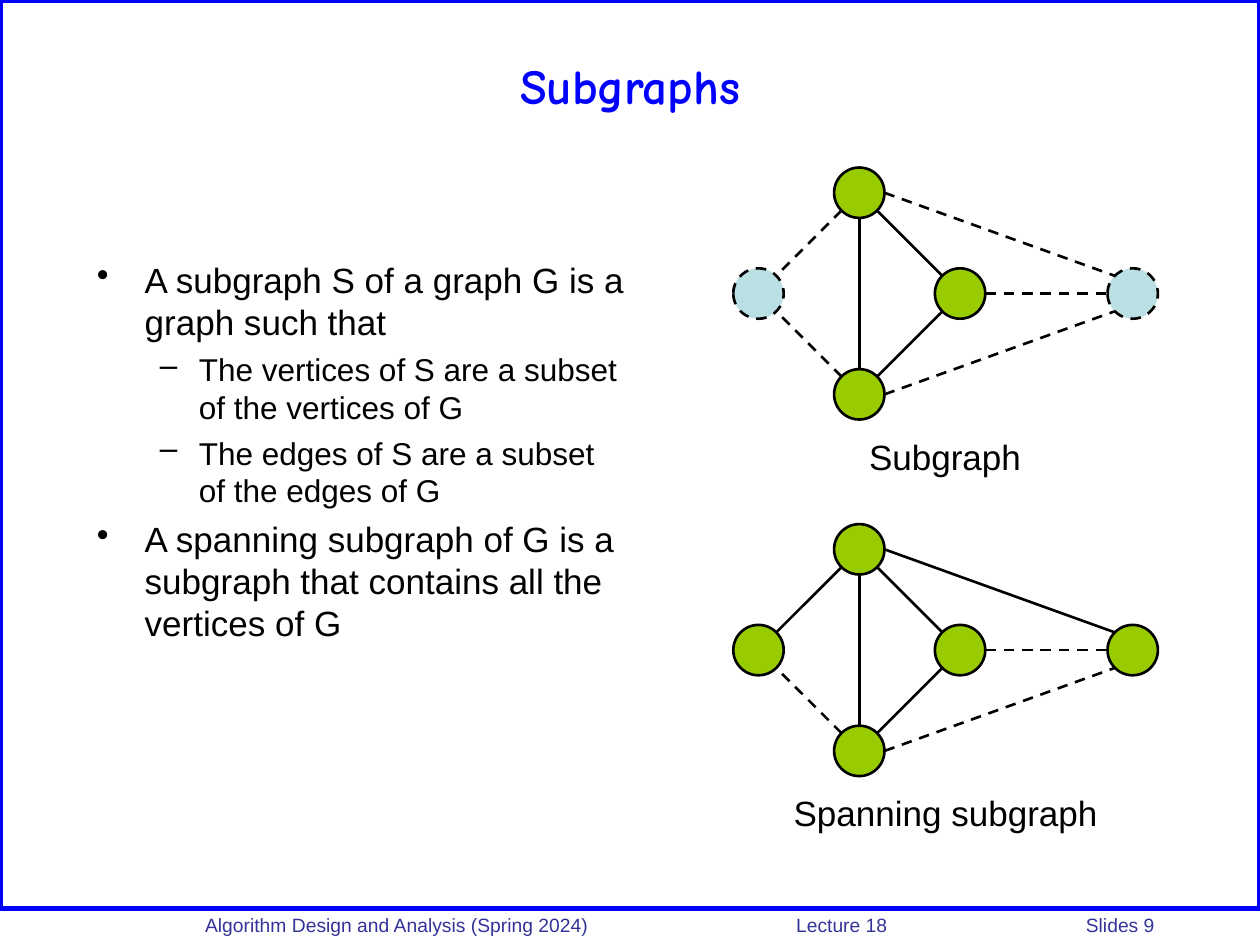
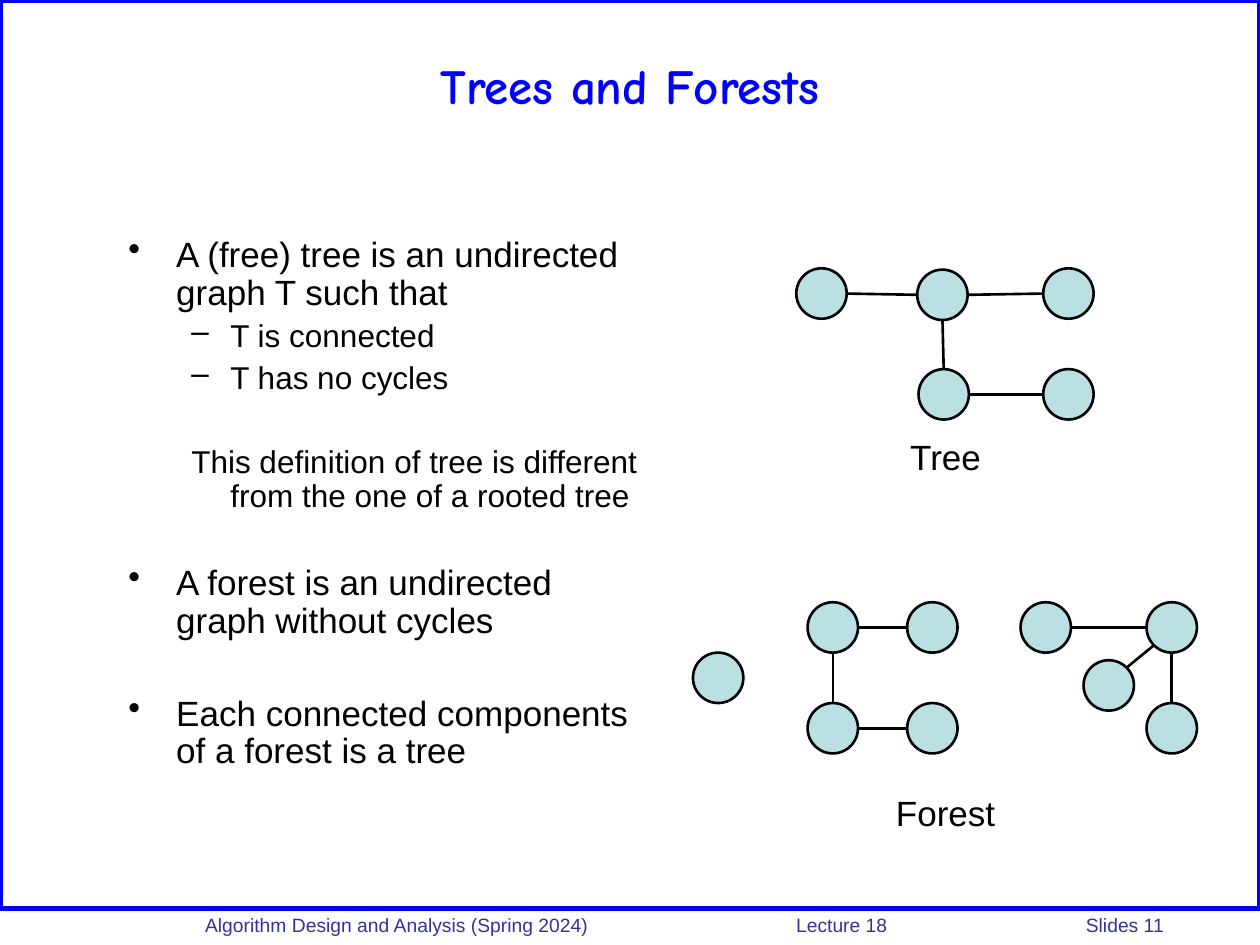
from dataclasses import dataclass

from lxml import etree
from pptx import Presentation
from pptx import util as u
from pptx.dml.color import RGBColor
from pptx.enum import dml, shapes, text
from pptx.oxml import ns

DIAGONAL = 0.14
RADIUS = 0.2
SITES = {
    "N": (0, -RADIUS), "S": (0, RADIUS), "W": (-RADIUS, 0), "E": (RADIUS, 0),
    "NW": (-DIAGONAL, -DIAGONAL), "NE": (DIAGONAL, -DIAGONAL),
    "SW": (-DIAGONAL, DIAGONAL), "SE": (DIAGONAL, DIAGONAL),
}


@dataclass(frozen=True)
class Theme:
    blue: str = "0000FF"
    footer: str = "333399"
    ink: str = "000000"
    green: str = "99CC00"
    pale: str = "BBE0E3"
    title_font: str = "Comic Neue"
    body_font: str = "Arial"
    title_size: float = 28
    body_size: float = 20
    detail_size: float = 18
    footer_size: float = 11
    line_height: float = 1.2


@dataclass(frozen=True)
class Level:
    size: float
    mark: str
    indent: float
    hang: float

    @property
    def space(self):
        return self.size / 4


class Deck:
    def __init__(self, theme):
        self.theme = theme
        self.main = Level(theme.body_size, "•", 0.38, 0.38)
        self.detail = Level(theme.detail_size, "–", 0.81, 0.31)
        self.remark = Level(theme.detail_size, "", 0.81, 0.31)
        self.presentation = Presentation()
        self.presentation.slide_width = u.Inches(10)
        self.presentation.slide_height = u.Inches(7.5)
        self.slide = None

    def start_slide(self, title, number):
        layout = self.presentation.slide_layouts[5]
        self.slide = self.presentation.slides.add_slide(layout)
        self.frame()
        self.title(title)
        self.footer(number)

    def frame(self):
        shape = self.slide.shapes.add_shape(
            shapes.MSO_SHAPE.RECTANGLE, 0, 0, u.Inches(10), u.Inches(7.21))
        shape.shadow.inherit = False
        shape.fill.background()
        self.stroke(shape.line, self.theme.blue, 3)

    def title(self, words):
        shape = self.slide.shapes.title
        shape.left, shape.top = u.Inches(0.5), u.Inches(0.17)
        shape.width, shape.height = u.Inches(9), u.Inches(1)
        shape.text_frame.vertical_anchor = text.MSO_ANCHOR.MIDDLE
        paragraph = shape.text_frame.paragraphs[0]
        paragraph.alignment = text.PP_ALIGN.CENTER
        run = self.run(paragraph, words, self.theme.title_size, self.theme.blue,
                       self.theme.title_font)
        run.font.bold = True

    def footer(self, number):
        frame = self.text_box(1.53, 7.2, 8.47, 0.26)
        paragraph = frame.paragraphs[0]
        tabs = etree.SubElement(paragraph._p.get_or_add_pPr(), ns.qn("a:tabLst"))
        for position in (4.69, 6.99):
            etree.SubElement(tabs, ns.qn("a:tab"), pos=str(u.Inches(position)), algn="l")
        words = f"Algorithm Design and Analysis (Spring 2024)\tLecture 18\tSlides {number}"
        self.run(paragraph, words, self.theme.footer_size, self.theme.footer)

    def text_box(self, left, top, width, height):
        box = self.slide.shapes.add_textbox(
            u.Inches(left), u.Inches(top), u.Inches(width), u.Inches(height))
        box.text_frame.word_wrap = True
        return box.text_frame

    def run(self, paragraph, words, size, color, font=None):
        run = paragraph.add_run()
        run.text = words
        run.font.name = font or self.theme.body_font
        run.font.size = u.Pt(size)
        run.font.color.rgb = RGBColor.from_string(color)
        return run

    def caption(self, left, top, width, words):
        paragraph = self.text_box(left, top, width, 0.44).paragraphs[0]
        paragraph.alignment = text.PP_ALIGN.CENTER
        self.run(paragraph, words, self.theme.body_size, self.theme.ink)

    def outline(self, left, top, width, height, items, spacing=1.0):
        frame = self.text_box(left, top, width, height)
        for index, (level, words, skipped) in enumerate(items):
            paragraph = frame.paragraphs[0] if index == 0 else frame.add_paragraph()
            self.bullet(paragraph, level)
            paragraph.line_spacing = u.Pt(self.leading(level, spacing))
            if index:
                space = level.space
                if skipped:
                    space += self.leading(skipped, spacing) + skipped.space
                paragraph.space_before = u.Pt(space)
            self.run(paragraph, words, level.size, self.theme.ink)

    def leading(self, level, spacing):
        return level.size * self.theme.line_height * spacing

    def bullet(self, paragraph, level):
        properties = paragraph._p.get_or_add_pPr()
        properties.set("marL", str(u.Inches(level.indent)))
        properties.set("indent", str(-u.Inches(level.hang)))
        if level.mark:
            color = etree.SubElement(properties, ns.qn("a:buClr"))
            etree.SubElement(color, ns.qn("a:srgbClr"), val=self.theme.ink)
            etree.SubElement(properties, ns.qn("a:buChar"), char=level.mark)
        else:
            etree.SubElement(properties, ns.qn("a:buNone"))

    def stroke(self, line, color, width, dashed=False):
        line.color.rgb = RGBColor.from_string(color)
        line.width = u.Pt(width)
        if dashed:
            line.dash_style = dml.MSO_LINE.DASH

    def node(self, center, fill, dashed=False):
        x, y = center
        shape = self.slide.shapes.add_shape(
            shapes.MSO_SHAPE.OVAL, u.Inches(x - RADIUS), u.Inches(y - RADIUS),
            u.Inches(2 * RADIUS), u.Inches(2 * RADIUS))
        shape.shadow.inherit = False
        shape.fill.solid()
        shape.fill.fore_color.rgb = RGBColor.from_string(fill)
        self.stroke(shape.line, self.theme.ink, 1.5, dashed)

    def edge(self, start, start_site, end, end_site, dashed=False):
        ends = [u.Inches(middle + shift)
                for center, site in ((start, start_site), (end, end_site))
                for middle, shift in zip(center, SITES[site])]
        connector = self.slide.shapes.add_connector(shapes.MSO_CONNECTOR.STRAIGHT, *ends)
        self.stroke(connector.line, self.theme.ink, 1.5, dashed)
        etree.SubElement(connector._element.spPr, ns.qn("a:effectLst"))

    def graph(self, nodes, edges, fill, dashed_nodes=(), dashed_edges=(), drop=0):
        centers = {name: (x, y + drop) for name, (x, y) in nodes.items()}
        for start, start_site, end, end_site in edges:
            self.edge(centers[start], start_site, centers[end], end_site,
                      (start, end) in dashed_edges)
        for name, center in centers.items():
            dashed = name in dashed_nodes
            self.node(center, self.theme.pale if dashed else fill, dashed)


GRAPH_NODES = {
    "left": (6.02, 2.33), "top": (6.82, 1.53), "bottom": (6.82, 3.13),
    "inner": (7.62, 2.33), "right": (8.99, 2.33),
}
GRAPH_EDGES = [
    ("top", "SW", "left", "NE"), ("bottom", "NW", "left", "SE"),
    ("bottom", "NE", "inner", "SW"), ("top", "SE", "inner", "NW"),
    ("top", "S", "bottom", "N"), ("inner", "E", "right", "W"),
    ("bottom", "E", "right", "SW"), ("top", "E", "right", "NW"),
]
OUTSIDE_SPANNING = {("bottom", "left"), ("inner", "right"), ("bottom", "right")}
OUTSIDE_SUBGRAPH = OUTSIDE_SPANNING | {("top", "left"), ("top", "right")}

TREE_NODES = {
    "first": (6.52, 2.33), "hub": (7.48, 2.34), "last": (8.48, 2.33),
    "below": (7.49, 3.13), "leaf": (8.48, 3.13),
}
TREE_EDGES = [
    ("first", "E", "hub", "W"), ("hub", "E", "last", "W"),
    ("hub", "S", "below", "N"), ("below", "E", "leaf", "W"),
]
FOREST_NODES = {
    "lone": (5.7, 5.38),
    "path 1": (7.4, 4.98), "path 2": (6.61, 4.98),
    "path 3": (6.61, 5.78), "path 4": (7.4, 5.78),
    "star hub": (9.3, 4.98), "star west": (8.3, 4.98),
    "star middle": (8.8, 5.44), "star south": (9.3, 5.78),
}
FOREST_EDGES = [
    ("path 2", "E", "path 1", "W"), ("path 2", "S", "path 3", "N"),
    ("path 3", "E", "path 4", "W"), ("star west", "E", "star hub", "W"),
    ("star middle", "NE", "star hub", "SW"), ("star hub", "S", "star south", "N"),
]


def subgraphs(deck):
    deck.start_slide("Subgraphs", 9)
    deck.outline(0.67, 2, 4.42, 4.58, [
        (deck.main, "A subgraph S of a graph G is a graph such that", None),
        (deck.detail, "The vertices of S are a subset of the vertices of G", None),
        (deck.detail, "The edges of S are a subset of the edges of G", None),
        (deck.main, "A spanning subgraph of G is a subgraph that contains all "
                    "the vertices of G", None),
    ])
    deck.caption(5.94, 3.41, 3.12, "Subgraph")
    deck.caption(5.51, 6.23, 3.99, "Spanning subgraph")
    deck.graph(GRAPH_NODES, GRAPH_EDGES, deck.theme.green,
               ("left", "right"), OUTSIDE_SUBGRAPH)
    deck.graph(GRAPH_NODES, GRAPH_EDGES, deck.theme.green,
               dashed_edges=OUTSIDE_SPANNING, drop=2.83)


def trees_and_forests(deck):
    deck.start_slide("Trees and Forests", 11)
    deck.outline(0.92, 1.83, 4.25, 4.92, [
        (deck.main, "A (free) tree is an undirected graph T such that", None),
        (deck.detail, "T is connected", None),
        (deck.detail, "T has no cycles", None),
        (deck.remark, "This definition of tree is different from the one of "
                      "a rooted tree", deck.detail),
        (deck.main, "A forest is an undirected graph without cycles", deck.detail),
        (deck.main, "Each connected components of a forest is a tree", deck.main),
    ], spacing=0.9)
    deck.caption(5.94, 3.41, 3.13, "Tree")
    deck.caption(5.51, 6.23, 3.99, "Forest")
    deck.graph(TREE_NODES, TREE_EDGES, deck.theme.pale)
    deck.graph(FOREST_NODES, FOREST_EDGES, deck.theme.pale)


def main():
    deck = Deck(Theme())
    subgraphs(deck)
    trees_and_forests(deck)
    deck.presentation.save("out.pptx")


if __name__ == "__main__":
    main()
